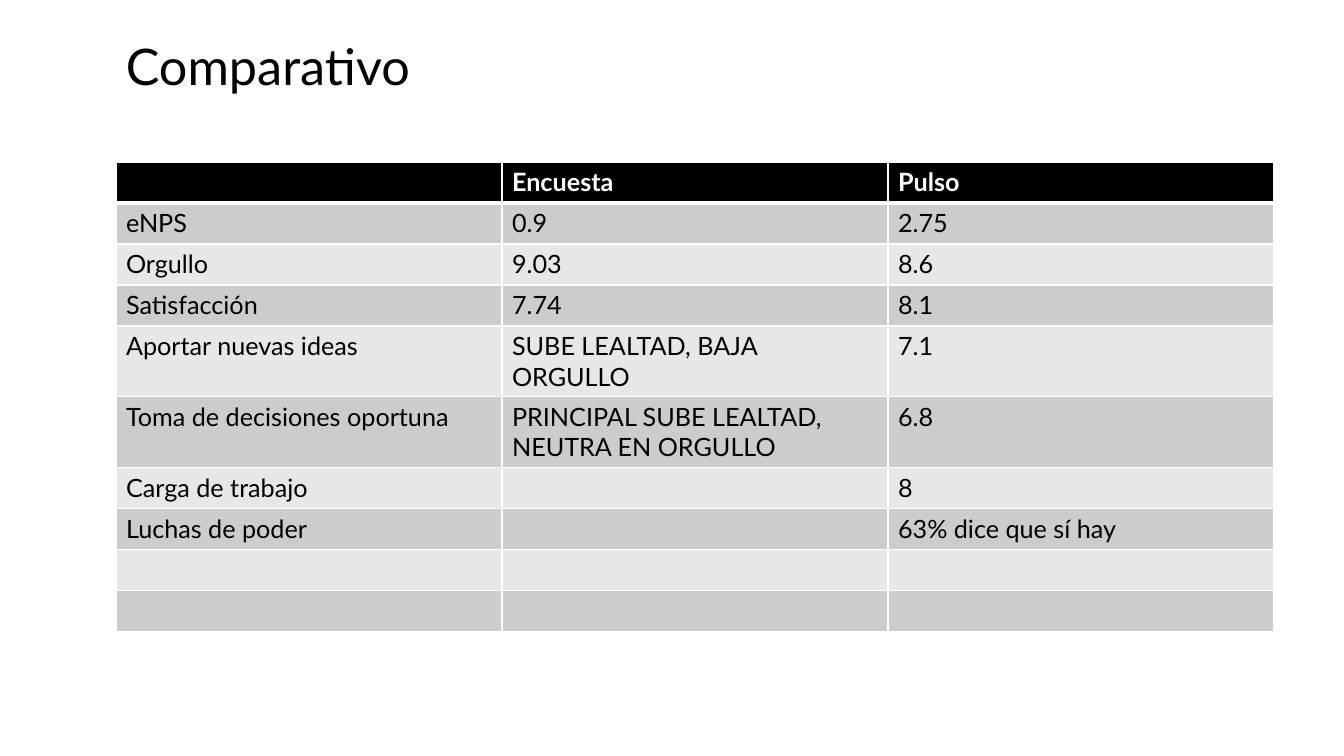
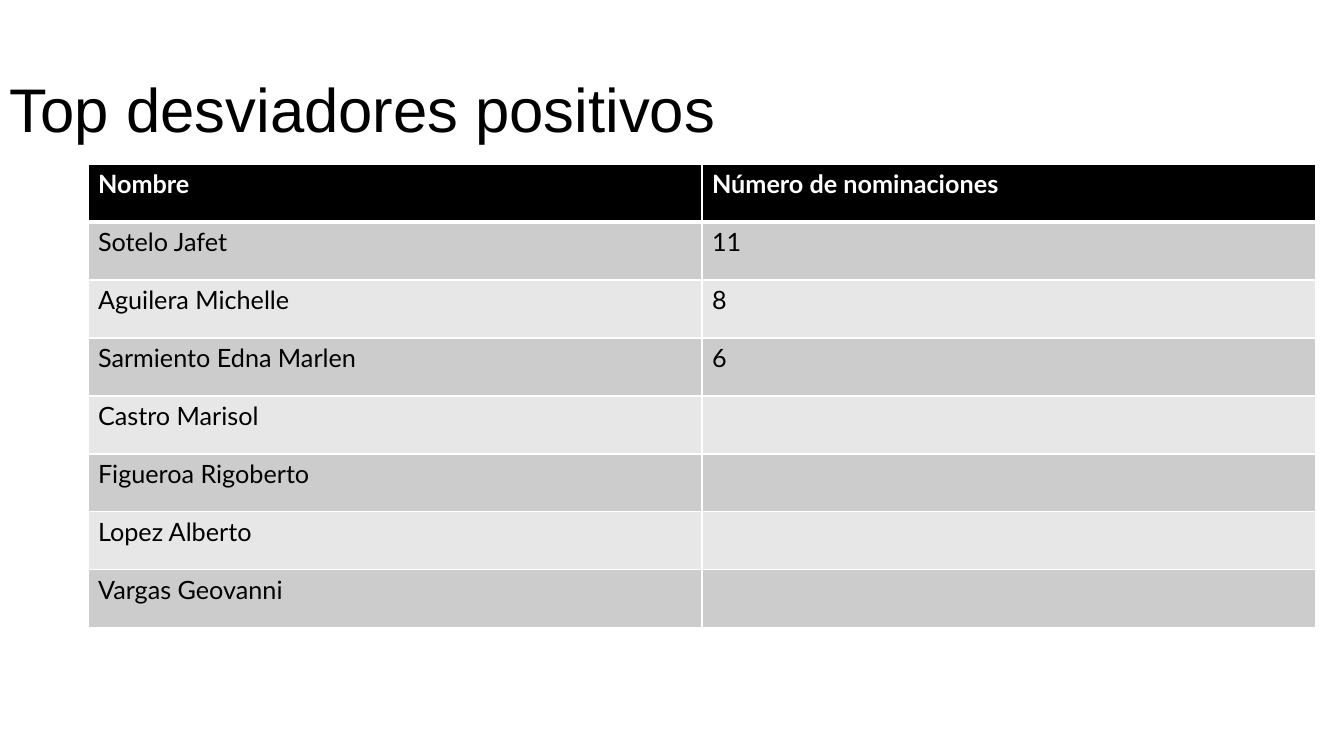
from dataclasses import dataclass

from lxml import etree
from pptx import Presentation
from pptx import util as u
from pptx.dml.color import RGBColor
from pptx.enum import text
from pptx.oxml import ns

EMU_PER_PX = 914400 / 100.8
BLACK, WHITE = "000000", "FFFFFF"
BANDS = ("CCCCCC", "E7E7E7")
HEADER_TEXT = {"name": "Lato", "size": u.Pt(18), "bold": True}
BODY_TEXT = HEADER_TEXT | {"bold": False}
THIN, THICK = 1, 3


@dataclass
class Title:
    wording: str
    area: tuple[int, int, int, int]
    font: str
    size: int
    anchor: text.MSO_ANCHOR


@dataclass
class Grid:
    left: int
    top: int
    column_width: int
    row_height: int
    rows: list[tuple[str, ...]]


@dataclass
class Page:
    title: Title
    grid: Grid


PAGES = [
    Page(
        Title("Comparativo", (116, 37, 1228, 112), "Lato", 36, text.MSO_ANCHOR.TOP),
        Grid(116, 162, 386, 41, [
            ("", "Encuesta", "Pulso"),
            ("eNPS", "0.9", "2.75"),
            ("Orgullo", "9.03", "8.6"),
            ("Satisfacción", "7.74", "8.1"),
            ("Aportar nuevas ideas", "SUBE LEALTAD, BAJA ORGULLO", "7.1"),
            ("Toma de decisiones oportuna",
             "PRINCIPAL SUBE LEALTAD, NEUTRA EN ORGULLO", "6.8"),
            ("Carga de trabajo", "", "8"),
            ("Luchas de poder", "", "63% dice que sí hay"),
            ("", "", ""),
            ("", "", ""),
        ]),
    ),
    Page(
        Title("Top desviadores positivos", (0, 40, 1159, 146), "Arial", 44,
              text.MSO_ANCHOR.MIDDLE),
        Grid(88, 164, 614, 58, [
            ("Nombre", "Número de nominaciones"),
            ("Sotelo Jafet", "11"),
            ("Aguilera Michelle", "8"),
            ("Sarmiento Edna Marlen", "6"),
            ("Castro Marisol", ""),
            ("Figueroa Rigoberto", ""),
            ("Lopez Alberto", ""),
            ("Vargas Geovanni", ""),
        ]),
    ),
]


def px(length: int) -> int:
    return round(length * EMU_PER_PX)


def colour(value: str) -> RGBColor:
    return RGBColor.from_string(value)


def write(para, wording: str, font: dict, ink: str) -> None:
    span = para.add_run()
    span.text = wording
    for name, value in font.items():
        setattr(span.font, name, value)
    span.font.color.rgb = colour(ink)


def add_title(slide, title: Title) -> None:
    box = slide.shapes.add_textbox(*map(px, title.area))
    frame = box.text_frame
    frame.word_wrap = True
    frame.vertical_anchor = title.anchor
    para = frame.paragraphs[0]
    para.line_spacing = 0.9
    write(para, title.wording, {"name": title.font, "size": u.Pt(title.size)}, BLACK)


def set_borders(cell, widths: dict[str, int]) -> None:
    # Border lines come before the fill in the cell properties
    properties = cell._tc.get_or_add_tcPr()
    for position, (side, width) in enumerate(widths.items()):
        line = etree.Element(ns.qn(f"a:ln{side}"), w=str(u.Pt(width)))
        fill = etree.SubElement(line, ns.qn("a:solidFill"))
        etree.SubElement(fill, ns.qn("a:srgbClr"), val=WHITE)
        properties.insert(position, line)


def add_grid(slide, grid: Grid) -> None:
    row_count, column_count = len(grid.rows), len(grid.rows[0])
    table = slide.shapes.add_table(
        row_count, column_count, px(grid.left), px(grid.top),
        px(grid.column_width * column_count), px(grid.row_height * row_count),
    ).table
    table.first_row = table.horz_banding = False
    for column in table.columns:
        column.width = px(grid.column_width)
    for index, (row, wordings) in enumerate(zip(table.rows, grid.rows)):
        row.height = px(grid.row_height)
        header = index == 0
        font, ink, back = ((HEADER_TEXT, WHITE, BLACK) if header
                           else (BODY_TEXT, BLACK, BANDS[(index - 1) % 2]))
        # The header and the first body row share a thick line
        borders = {"L": THIN, "R": THIN,
                   "T": THICK if index == 1 else THIN,
                   "B": THICK if header else THIN}
        for cell, wording in zip(row.cells, wordings):
            cell.fill.solid()
            cell.fill.fore_color.rgb = colour(back)
            set_borders(cell, borders)
            if wording:
                write(cell.text_frame.paragraphs[0], wording, font, ink)


def main() -> None:
    deck = Presentation()
    deck.slide_width, deck.slide_height = px(1344), px(756)
    for page in PAGES:
        slide = deck.slides.add_slide(deck.slide_layouts[6])
        add_title(slide, page.title)
        add_grid(slide, page.grid)
    deck.save("out.pptx")


if __name__ == "__main__":
    main()
